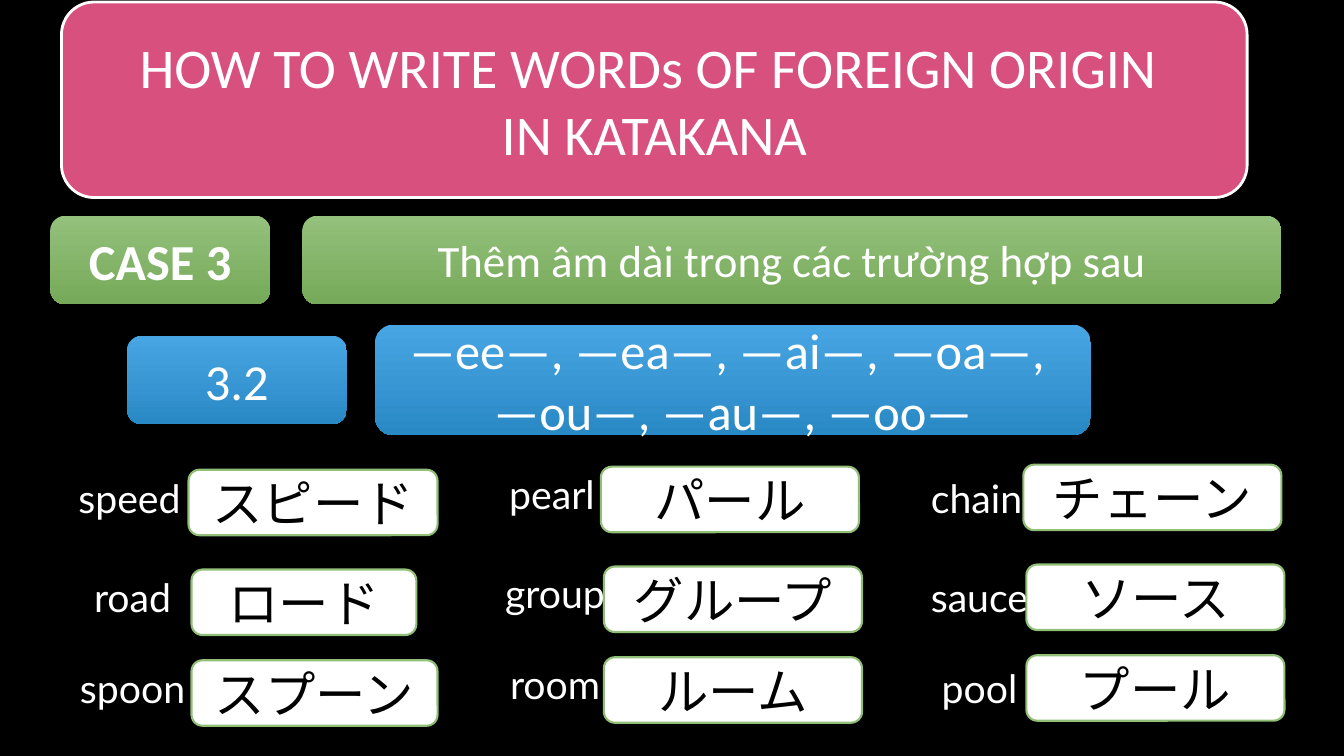
import pptx
import pptx.util
import pptx.dml.color
import pptx.enum.shapes
import pptx.enum.text

Inches = pptx.util.Inches
Pt = pptx.util.Pt

COLORS = {
    "black": "000000",
    "white": "FFFFFF",
    "pink": "D8507E",
    "green_line": "91BF77",
    "green": ("94C17C", "76A959"),
    "blue": ("48A5E3", "2989C5"),
}


def rgb(name):
    return pptx.dml.color.RGBColor.from_string(name)


class KatakanaSlide:
    def __init__(self, prs):
        self.s = prs.slides.add_slide(prs.slide_layouts[6])
        fill = self.s.background.fill
        fill.solid()
        fill.fore_color.rgb = rgb(COLORS["black"])

    def box(self, at, text, size, font="Calibri", color="white", bold=False):
        """Add a rounded box with centred text and neither fill nor line."""
        sp = self.s.shapes.add_shape(
            pptx.enum.shapes.MSO_SHAPE.ROUNDED_RECTANGLE, *map(Inches, at))
        sp.shadow.inherit = False
        sp.fill.background()
        sp.line.fill.background()
        tf = sp.text_frame
        tf.word_wrap = True
        tf.vertical_anchor = pptx.enum.text.MSO_ANCHOR.MIDDLE
        tf.text = text
        for p in tf.paragraphs:
            p.alignment = pptx.enum.text.PP_ALIGN.CENTER
            for r in p.runs:
                r.font.name = font
                r.font.size = Pt(size)
                r.font.bold = bold
                r.font.color.rgb = rgb(COLORS[color])
        return sp

    def outlined(self, at, text, size, fill, line, width, **style):
        sp = self.box(at, text, size, **style)
        sp.fill.solid()
        sp.fill.fore_color.rgb = rgb(COLORS[fill])
        sp.line.color.rgb = rgb(COLORS[line])
        sp.line.width = Pt(width)

    def banner(self, at, text, size, gradient, **style):
        """Add a box shaded from top to bottom."""
        sp = self.box(at, text, size, **style)
        sp.fill.gradient()
        sp.fill.gradient_angle = 270
        for stop, shade in zip(sp.fill.gradient_stops, COLORS[gradient]):
            stop.color.rgb = rgb(shade)

    def word(self, at, text):
        self.box(at, text, 28, font="Lato")

    def katakana(self, at, text):
        self.outlined(at, text, 36, "white", "green_line", 1.5,
                      font="Lato", color="black")


ROW_TOPS = (4.61, 5.6, 6.5)
ROW_HEIGHT = 0.65
FIRST_ROW_SHIFT = -0.03

# word left, word drop, katakana left, katakana drop, (word, katakana, width)
COLUMNS = (
    (0.61, 0, 1.9, 0.05, (("speed", "スピード", 2.47),
                          ("road", "ロード", 2.23),
                          ("spoon", "スプーン", 2.44))),
    (4.8, -0.04, 5.99, 0.02, (("pearl", "パール", 2.56),
                              ("group", "グループ", 2.56),
                              ("room", "ルーム", 2.56))),
    (9.01, 0, 10.18, 0, (("chain", "チェーン", 2.56),
                         ("sauce", "ソース", 2.56),
                         ("pool", "プール", 2.56))),
)


def main():
    prs = pptx.Presentation()
    prs.slide_width = Inches(13.33)
    prs.slide_height = Inches(7.5)
    slide = KatakanaSlide(prs)

    slide.outlined((0.61, 0.02, 11.76, 1.94),
                   "HOW TO WRITE WORDs OF FOREIGN ORIGIN \nIN KATAKANA",
                   40, "pink", "white", 2)
    slide.banner((0.5, 2.14, 2.18, 0.88), "CASE 3", 36, "green", bold=True)
    slide.banner((3, 2.14, 9.71, 0.88),
                 "Thêm âm dài trong các trường hợp sau", 32, "green")
    slide.banner((1.26, 3.33, 2.18, 0.88), "3.2", 36, "blue")
    slide.banner((3.72, 3.22, 7.1, 1.1),
                 "—ee—, —ea—, —ai—, —oa—, \n—ou—, —au—, —oo—", 36, "blue")

    for word_left, word_drop, kana_left, kana_drop, entries in COLUMNS:
        for row, (word, kana, width) in enumerate(entries):
            shift = FIRST_ROW_SHIFT if row == 0 else 0
            top = ROW_TOPS[row]
            slide.word((word_left + shift, top + word_drop, 1.41, ROW_HEIGHT),
                       word)
            slide.katakana((kana_left + shift, top + kana_drop, width,
                            ROW_HEIGHT), kana)

    prs.save("out.pptx")


if __name__ == "__main__":
    main()
